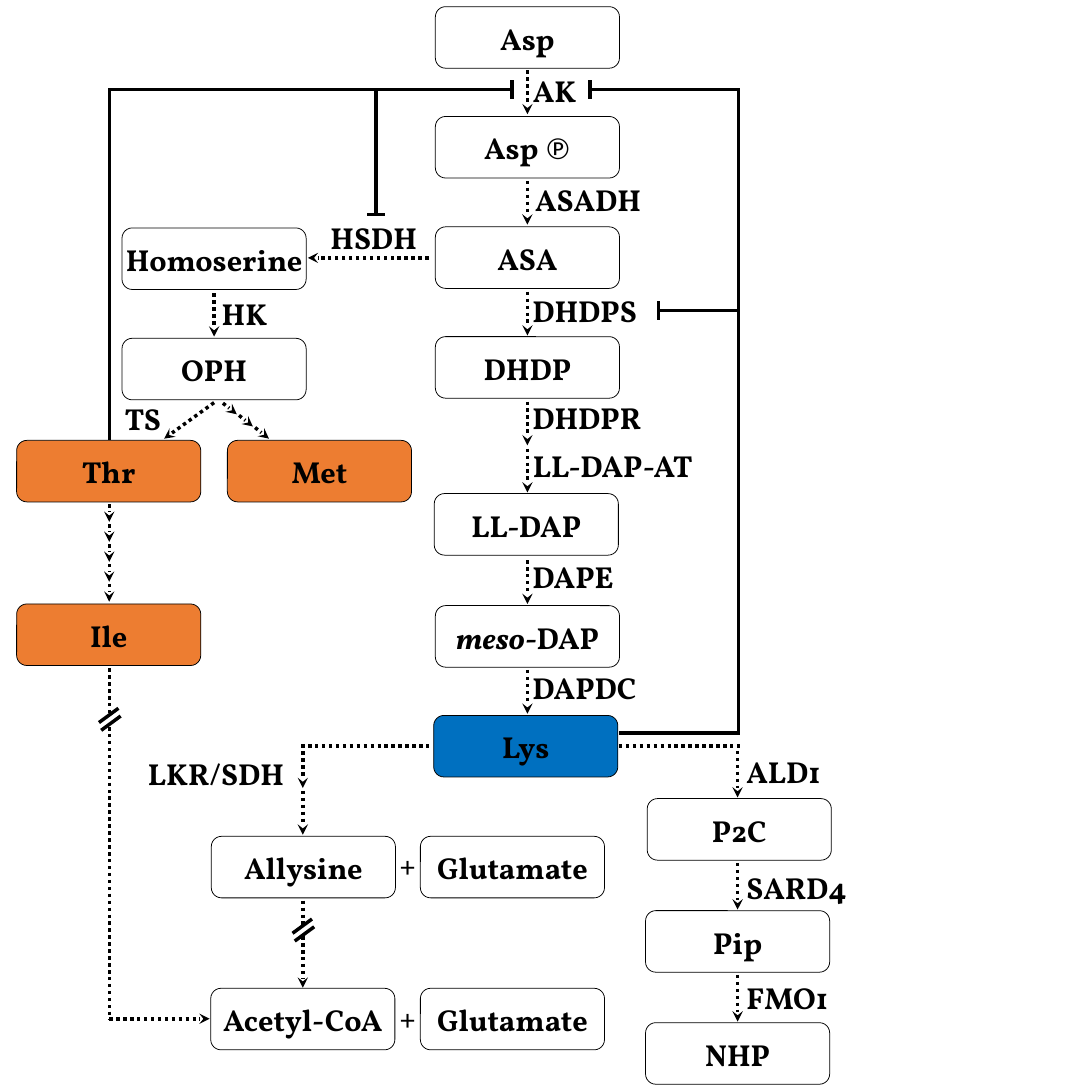
from dataclasses import dataclass

from pptx import Presentation
from pptx.dml.color import RGBColor
from pptx.enum.dml import MSO_LINE
from pptx.enum.shapes import MSO_CONNECTOR, MSO_SHAPE
from pptx.enum.text import MSO_ANCHOR, PP_ALIGN
from pptx.oxml.ns import qn
from pptx.util import Inches, Pt
from lxml.etree import SubElement


@dataclass(frozen=True)
class Theme:
    ink: str = "000000"
    amino_acid: str = "ED7D31"
    lysine: str = "0070C0"
    name_font: str = "Vollkorn"
    symbol_font: str = "Calibri"
    name_size: float = 39.4
    plus_size: float = 38
    outline: float = 1
    stroke: float = 4.5


BOX_WIDTH, BOX_HEIGHT = 3.32, 1.11
MAIN_AXIS, PIPECOLATE_AXIS, THREONINE_AXIS, ALLYSINE_AXIS = 9.51, 13.3, 1.97, 5.46
FEEDBACK_Y, FEEDBACK_X = 1.61, 13.32


class PathwayPage:
    def __init__(self, deck, theme):
        self.theme = theme
        self.page = deck.slides.add_slide(deck.slide_layouts[6])

    def color(self, value):
        return RGBColor.from_string(value)

    def span(self, para, text, size=None, italic=False, symbol=False):
        span = para.add_run()
        span.text = text
        font = span.font
        font.name = self.theme.symbol_font if symbol else self.theme.name_font
        font.size = Pt(size or self.theme.name_size)
        font.bold = not symbol
        font.italic = italic
        font.color.rgb = self.color(self.theme.ink)

    def metabolite(self, left, top, *spans, fill=None):
        """Rounded box; each span is a text with its optional style."""
        box = self.page.shapes.add_shape(
            MSO_SHAPE.FLOWCHART_ALTERNATE_PROCESS, Inches(left), Inches(top),
            Inches(BOX_WIDTH), Inches(BOX_HEIGHT))
        box.shadow.inherit = False
        if fill:
            box.fill.solid()
            box.fill.fore_color.rgb = self.color(fill)
        else:
            box.fill.background()
        box.line.color.rgb = self.color(self.theme.ink)
        box.line.width = Pt(self.theme.outline)
        frame = box.text_frame
        frame.word_wrap = True
        frame.vertical_anchor = MSO_ANCHOR.MIDDLE
        frame.margin_left = frame.margin_right = frame.margin_bottom = 0
        frame.margin_top = Inches(0.02)
        para = frame.paragraphs[0]
        para.alignment = PP_ALIGN.CENTER
        for text, style in spans:
            self.span(para, text, **style)

    def label(self, left, top, text, width=BOX_WIDTH, **style):
        box = self.page.shapes.add_textbox(
            Inches(left), Inches(top), Inches(width), Inches(0.76))
        box.text_frame.word_wrap = True
        self.span(box.text_frame.paragraphs[0], text, **style)

    def line(self, start, end, dotted=False, arrow=False):
        line = self.page.shapes.add_connector(
            MSO_CONNECTOR.STRAIGHT, *(Inches(value) for value in (*start, *end)))
        line.line.color.rgb = self.color(self.theme.ink)
        line.line.width = Pt(self.theme.stroke)
        properties = line._element.spPr
        outline = properties.find(qn("a:ln"))
        if dotted:
            line.line.dash_style = MSO_LINE.ROUND_DOT
        else:
            outline.set("cap", "sq")
        if arrow:
            SubElement(outline, qn("a:tailEnd"), type="stealth")
        SubElement(properties, qn("a:effectLst"))

    def arrow(self, start, end):
        self.line(start, end, dotted=True, arrow=True)

    def arrow_chain(self, start, step, length, count):
        """Equal short arrows in a row, for several reactions in one."""
        for index in range(count):
            x, y = (origin + index * gap for origin, gap in zip(start, step))
            self.arrow((x, y), (x + length[0], y + length[1]))

    def inhibition(self, start, end):
        """Solid line that stops at a crossbar."""
        half = 0.14
        self.line(start, end)
        x, y = end
        if start[0] == x:
            self.line((x - half, y), (x + half, y))
        else:
            self.line((x, y - half), (x, y + half))

    def break_mark(self, x, y):
        for center_x, center_y in ((x, y), (x + 0.04, y + 0.14)):
            self.line((center_x + 0.15, center_y - 0.11),
                      (center_x - 0.15, center_y + 0.11))


def draw_metabolites(page, theme):
    plain = (
        (7.85, 0.12, "Asp"), (7.85, 4.09, "ASA"), (7.85, 6.07, "DHDP"),
        (7.83, 8.9, "LL-DAP"), (2.2, 4.11, "Homoserine"), (2.2, 6.1, "OPH"),
        (11.67, 14.4, "P2C"), (11.64, 16.42, "Pip"), (11.64, 18.44, "NHP"),
        (3.81, 15.08, "Allysine"), (3.8, 17.82, "Acetyl-CoA"),
        (7.58, 15.08, "Glutamate"), (7.58, 17.82, "Glutamate"),
    )
    for left, top, name in plain:
        page.metabolite(left, top, (name, {}))
    page.metabolite(7.85, 2.1, ("Asp", {}), (" ℗", {"symbol": True}))
    page.metabolite(7.85, 10.92, ("meso", {"italic": True}), ("-DAP", {}))
    page.metabolite(7.82, 12.9, ("Lys", {}), fill=theme.lysine)
    for left, top, name in ((0.3, 7.94, "Thr"), (4.1, 7.94, "Met"), (0.3, 10.89, "Ile")):
        page.metabolite(left, top, (name, {}), fill=theme.amino_acid)
    for top in (15.25, 18):
        page.label(7.12, top, "+", width=0.67, size=theme.plus_size, symbol=True)


def draw_enzymes(page):
    enzymes = (
        (9.51, 1.26, "AK"), (9.55, 3.22, "ASADH"), (9.5, 5.22, "DHDPS"),
        (9.5, 7.14, "DHDPR"), (9.51, 8.01, "LL-DAP-AT"), (9.5, 10.01, "DAPE"),
        (9.5, 12.01, "DAPDC"), (13.36, 13.54, "ALD1"), (13.36, 15.63, "SARD4"),
        (13.36, 17.61, "FMO1"), (2.57, 13.57, "LKR/SDH"),
    )
    for left, top, name in enzymes:
        page.label(left, top, name)
    for left, top, name in ((3.9, 5.27, "HK"), (2.15, 7.16, "TS"), (5.86, 3.9, "HSDH")):
        page.label(left, top, name, width=1.93)


def draw_reactions(page):
    for top in (1.27, 3.26, 5.26, 7.24, 8.09, 10.1, 12.08):
        page.arrow((MAIN_AXIS, top), (MAIN_AXIS, top + 0.79))
    for top in (13.54, 15.56, 17.58):
        page.arrow((PIPECOLATE_AXIS, top), (PIPECOLATE_AXIS, top + 0.84))
    for top, bottom in ((13.55, 14.21), (14.26, 15.05), (16.88, 17.81)):
        page.arrow((ALLYSINE_AXIS, top), (ALLYSINE_AXIS, bottom))
    page.arrow((7.73, 4.65), (5.55, 4.65))
    page.arrow((3.86, 5.29), (3.86, 6.07))
    page.arrow((3.86, 7.26), (2.96, 7.91))
    page.arrow_chain((4.02, 7.27), (0.29, 0.22), (0.25, 0.2), 3)
    page.arrow_chain((THREONINE_AXIS, 9.09), (0, 0.36), (0, 0.32), 5)
    page.arrow((THREONINE_AXIS, 18.37), (3.78, 18.37))
    dotted_lines = (
        ((THREONINE_AXIS, 12.05), (THREONINE_AXIS, 12.89)),
        ((THREONINE_AXIS, 13.11), (THREONINE_AXIS, 18.37)),
        ((ALLYSINE_AXIS, 16.24), (ALLYSINE_AXIS, 16.71)),
        ((5.43, 13.45), (7.73, 13.45)),
        ((11.16, 13.45), (13.36, 13.45)),
    )
    for start, end in dotted_lines:
        page.line(start, end, dotted=True)
    page.break_mark(1.96, 12.9)
    page.break_mark(5.45, 16.7)


def draw_feedback(page):
    page.line((THREONINE_AXIS, 7.91), (THREONINE_AXIS, FEEDBACK_Y))
    page.inhibition((THREONINE_AXIS, FEEDBACK_Y), (9.23, FEEDBACK_Y))
    page.inhibition((6.78, FEEDBACK_Y), (6.78, 3.87))
    page.line((11.19, 13.22), (FEEDBACK_X, 13.22))
    page.line((FEEDBACK_X, 13.22), (FEEDBACK_X, FEEDBACK_Y))
    page.inhibition((FEEDBACK_X, FEEDBACK_Y), (10.64, FEEDBACK_Y))
    page.inhibition((FEEDBACK_X, 5.6), (11.87, 5.6))


def main():
    theme = Theme()
    deck = Presentation()
    deck.slide_width = deck.slide_height = Inches(19.69)
    page = PathwayPage(deck, theme)
    draw_metabolites(page, theme)
    draw_enzymes(page)
    draw_reactions(page)
    draw_feedback(page)
    deck.save("out.pptx")


if __name__ == "__main__":
    main()
